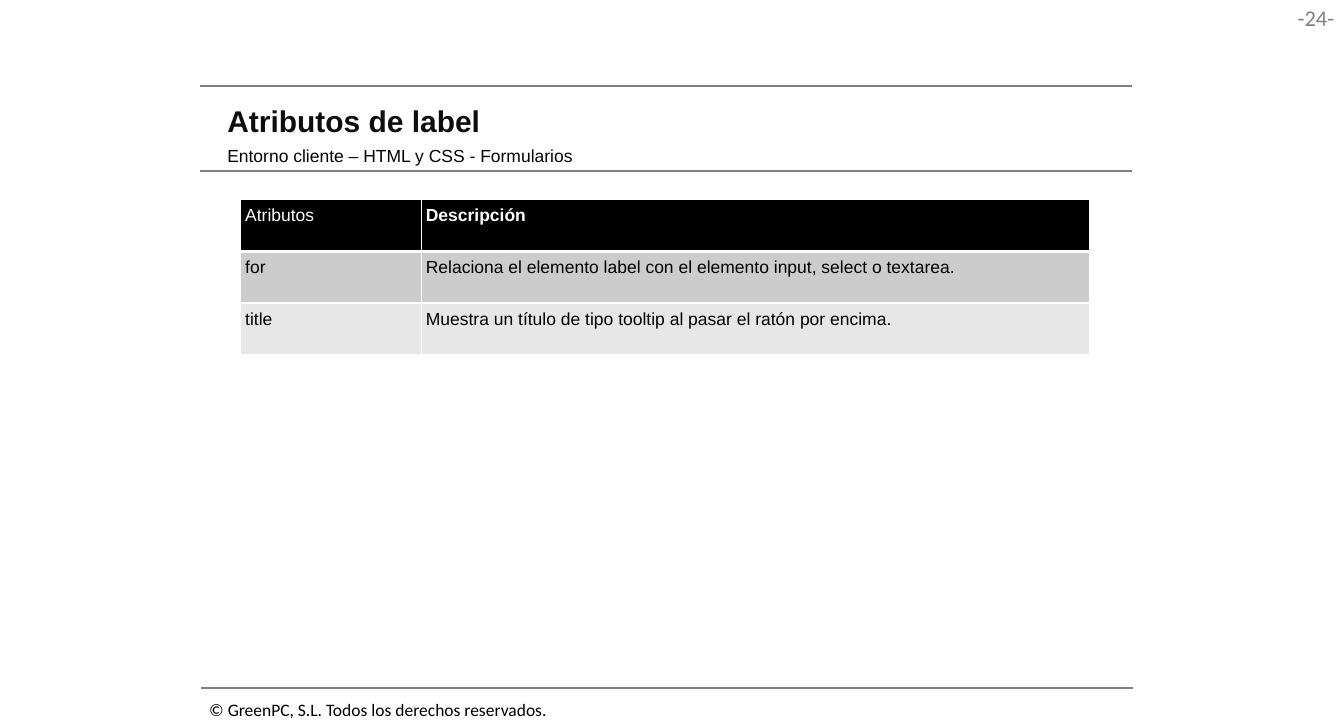
from dataclasses import dataclass

from lxml import etree
from pptx import Presentation
from pptx import util as u
from pptx.dml.color import RGBColor
from pptx.enum import shapes, text
from pptx.oxml import ns

BLACK = RGBColor(0x00, 0x00, 0x00)
INK = RGBColor(0x0D, 0x0D, 0x0D)
GRAY = RGBColor(0x80, 0x80, 0x80)
WHITE = RGBColor(0xFF, 0xFF, 0xFF)
BAND_DARK = RGBColor(0xCC, 0xCC, 0xCC)
BAND_LIGHT = RGBColor(0xE7, 0xE7, 0xE7)

WIDTH, HEIGHT = u.Inches(14.96), u.Inches(8.07)
COLUMN, ROW = WIDTH / 100, HEIGHT / 100

PLACEHOLDER_FRAME = {
    "margin_left": u.Inches(0.13), "margin_right": u.Inches(0.13),
    "margin_top": u.Inches(0.07), "margin_bottom": u.Inches(0.07),
    "vertical_anchor": text.MSO_ANCHOR.MIDDLE, "word_wrap": True,
    "auto_size": text.MSO_AUTO_SIZE.SHAPE_TO_FIT_TEXT,
}
LABEL_FRAME = {
    "margin_left": u.Inches(0.1), "margin_right": u.Inches(0.1),
    "margin_top": u.Inches(0.05), "margin_bottom": u.Inches(0.05),
    "vertical_anchor": text.MSO_ANCHOR.TOP, "word_wrap": False,
    "auto_size": text.MSO_AUTO_SIZE.SHAPE_TO_FIT_TEXT,
}
CELL_FRAME = {
    "margin_left": u.Inches(0.05), "margin_right": u.Inches(0.05),
    "margin_top": u.Inches(0.07), "margin_bottom": u.Inches(0.07),
    "vertical_anchor": text.MSO_ANCHOR.TOP,
}

ATTRIBUTES = [
    ("Atributos", "Descripción"),
    ("for", "Relaciona el elemento label con el elemento input, select o textarea."),
    ("title", "Muestra un título de tipo tooltip al pasar el ratón por encima."),
]
ROW_FILLS = [BLACK, BAND_DARK, BAND_LIGHT]


@dataclass
class Box:
    left: float
    top: float
    width: float
    height: float

    def inner(self, left, top, width, height):
        return Box(self.left + left, self.top + top, width, height)

    def lengths(self):
        return [round(self.left * COLUMN), round(self.top * ROW),
                round(self.width * COLUMN), round(self.height * ROW)]


def apply(target, values):
    for name, value in values.items():
        setattr(target, name, value)


def write(paragraph, words, face, size, color, bold=False, align=text.PP_ALIGN.LEFT):
    paragraph.alignment = align
    run = paragraph.add_run()
    run.text = words
    apply(run.font, {"name": face, "size": u.Pt(size), "bold": bold})
    run.font.color.rgb = color


def add_label(slide, box, frame_values):
    frame = slide.shapes.add_textbox(*box.lengths()).text_frame
    apply(frame, frame_values)
    return frame.paragraphs[0]


def add_rule(slide, box, down=0):
    left, top, width, _ = box.inner(0, down, box.width, 0).lengths()
    rule = slide.shapes.add_connector(
        shapes.MSO_CONNECTOR.STRAIGHT, left, top, left + width, top)
    rule.line.color.rgb = GRAY
    rule.line.width = u.Pt(1.5)
    etree.SubElement(rule._element.spPr, ns.qn("a:effectLst"))


def page_number(slide, box):
    label = add_label(slide, box, LABEL_FRAME)
    write(label, "-24-", "Calibri", 18, GRAY, align=text.PP_ALIGN.RIGHT)


def header(slide, box):
    add_rule(slide, box)
    add_rule(slide, box, box.height)
    title = slide.shapes.title
    title_box = box.inner(1.13, 1.36, 67.65, 6.69)
    apply(title, dict(zip(("left", "top", "width", "height"), title_box.lengths())))
    apply(title.text_frame, PLACEHOLDER_FRAME)
    write(title.text_frame.paragraphs[0], "Atributos de label", "Arial", 24, INK, True)
    subtitle = add_label(slide, box.inner(1.13, 7.31, 50.8, 4.58), PLACEHOLDER_FRAME)
    write(subtitle, "Entorno cliente – HTML y CSS - Formularios", "Arial", 14, BLACK)


def add_borders(cell, bottom):
    properties = cell._tc.get_or_add_tcPr()
    sides = {"lnL": 1, "lnR": 1, "lnT": 1, "lnB": bottom}
    for place, (side, points) in enumerate(sides.items()):
        border = etree.Element(ns.qn(f"a:{side}"), w=str(u.Pt(points)))
        fill = etree.SubElement(border, ns.qn("a:solidFill"))
        etree.SubElement(fill, ns.qn("a:srgbClr"), val=str(WHITE))
        properties.insert(place, border)


def attribute_table(slide, box):
    table = slide.shapes.add_table(len(ATTRIBUTES), 2, *box.lengths()).table
    apply(table, {"first_row": False, "horz_banding": False})
    name_width = 13.44
    for column, share in zip(table.columns, (name_width, box.width - name_width)):
        column.width = round(share * COLUMN)
    for r, (entries, fill) in enumerate(zip(ATTRIBUTES, ROW_FILLS)):
        heading = r == 0
        for c, words in enumerate(entries):
            cell = table.cell(r, c)
            apply(cell, CELL_FRAME)
            cell.fill.solid()
            cell.fill.fore_color.rgb = fill
            add_borders(cell, 3 if heading else 1)
            write(cell.text_frame.paragraphs[0], words, "Arial", 14,
                  WHITE if heading else BLACK, heading and c == 1,
                  text.PP_ALIGN.JUSTIFY)


def footer(slide, box):
    add_rule(slide, box)
    copyright_line = add_label(slide, box.inner(-0.07, 0.87, 26.67, 4.21), LABEL_FRAME)
    write(copyright_line, "© GreenPC, S.L. Todos los derechos reservados.",
          "Calibri", 14, BLACK)


def main():
    deck = Presentation()
    apply(deck, {"slide_width": WIDTH, "slide_height": HEIGHT})
    slide = deck.slides.add_slide(deck.slide_layouts[5])
    page_number(slide, Box(94.45, 0, 5.48, 5.08))
    header(slide, Box(14.91, 11.9, 69.32, 11.64))
    attribute_table(slide, Box(17.91, 27.51, 63.17, 21.44))
    footer(slide, Box(14.98, 94.92, 69.32, 5.08))
    deck.save("out.pptx")


if __name__ == "__main__":
    main()
